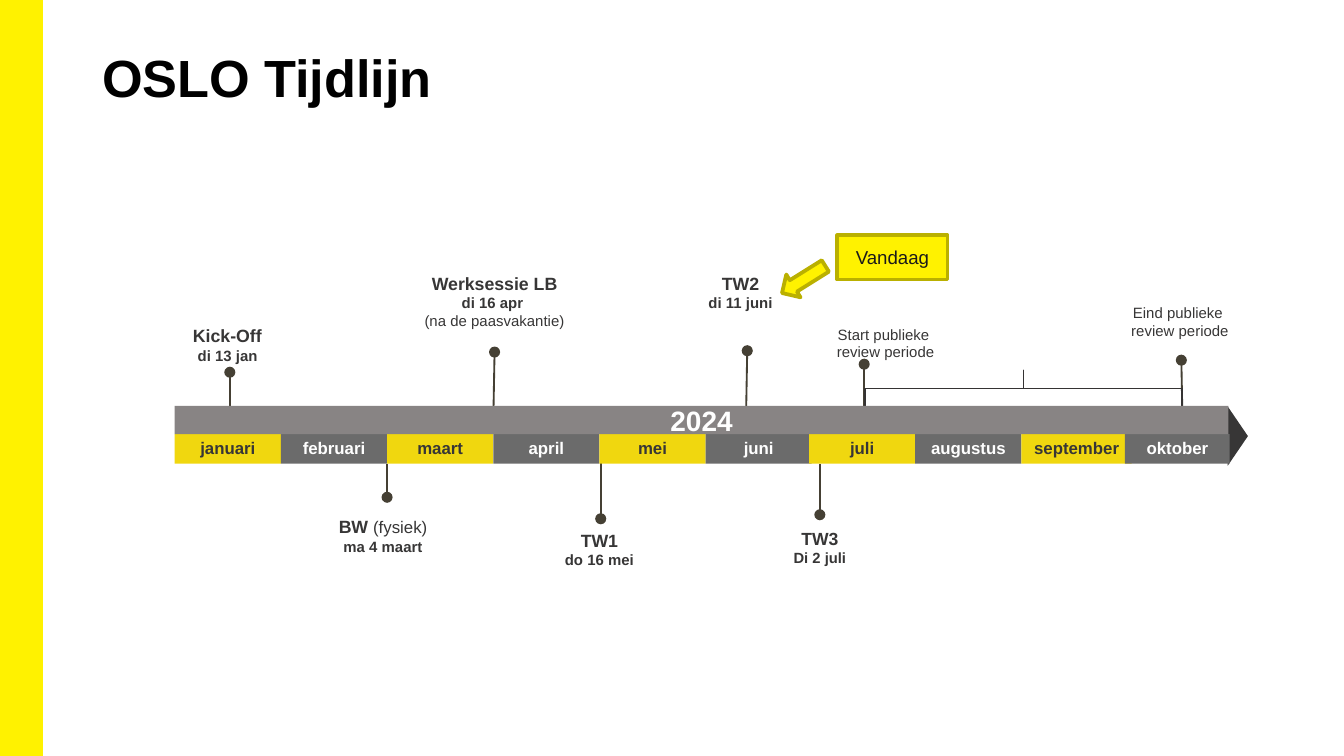
"""Build the OSLO 2024 timeline slide."""
from lxml import etree
from pptx import Presentation
from pptx.dml.color import RGBColor
from pptx.enum.shapes import MSO_CONNECTOR, MSO_SHAPE
from pptx.enum.text import MSO_ANCHOR, PP_ALIGN
from pptx.oxml.ns import qn
from pptx.util import Inches, Pt

YELLOW = RGBColor(0xFF, 0xF2, 0x00)
OLIVE = RGBColor(0xBA, 0xB0, 0x00)
GOLD = RGBColor(0xF0, 0xD7, 0x0F)
GRAY = RGBColor(0x6B, 0x6B, 0x6B)
BAR_GRAY = RGBColor(0x88, 0x84, 0x84)
DARK = RGBColor(0x37, 0x36, 0x36)
PIN = RGBColor(0x45, 0x40, 0x34)
BRACE = RGBColor(0x35, 0x33, 0x33)
INK = RGBColor(0x1B, 0x1A, 0x1A)
BLACK = RGBColor(0, 0, 0)
WHITE = RGBColor(0xFF, 0xFF, 0xFF)

SLIDE_WIDTH = Inches(10)
SLIDE_HEIGHT = SLIDE_WIDTH * 9 // 16
TITLE = "OSLO Tijdlijn"
YEAR = "2024"
TODAY = "Vandaag"
FONT = "Arial"
MONTH_TOP, MONTH_HEIGHT = 3.23, 0.22
MONTH_GROUPS = [
    (1.3, 0.79, ["januari", "februari", "maart", "april"]),
    (4.46, 0.79, ["mei", "juni"]),
    (6.02, 0.79, ["juli", "augustus"]),
    (7.6, 0.82, ["september"]),
    (8.37, 0.78, ["oktober"]),
]
EVENTS = [
    ((1.17, 2.42, 1.08, 0.37), [[("Kick-Off ", 9.5, True)], [("di 13 jan\u00a0", 8, True)]]),
    ((3.09, 2.03, 1.18, 0.6), [[("Werksessie LB", 9.5, True)], [("di 16 apr\u00a0", 8, True)],
                               [("(na de paasvakantie)", 8, False)]]),
    ((4.97, 2.03, 1.08, 0.37), [[("TW2", 9.5, True)], [("di 11 juni", 8, True)]]),
    ((6.05, 2.42, 1.08, 0.34), [[("Start publieke \nreview periode", 8, False)]]),
    ((8.24, 2.26, 1.08, 0.37), [[("Eind publieke \nreview periode", 8, False)]]),
    ((2.31, 3.84, 1.08, 0.81), [[("BW ", 9.5, True), ("(fysiek)", 9, False)],
                                [("ma 4 maart", 8, True)]]),
    ((3.92, 3.94, 1.08, 0.34), [[("TW1", 9.5, True)], [("do 16 mei", 8, True)]]),
    ((5.56, 3.93, 1.08, 0.34), [[("TW3", 9.4, True)], [("Di 2 juli", 7.9, True)]]),
]
PINS = [
    ((1.71, 3.17), (1.71, 2.77)),
    ((3.67, 3.16), (3.68, 2.62)),
    ((5.55, 3.15), (5.56, 2.61)),
    ((6.43, 3.25), (6.43, 2.71)),
    ((8.8, 3.23), (8.79, 2.68)),
    ((2.88, 3.45), (2.88, 3.7)),
    ((4.47, 3.44), (4.47, 3.86)),
    ((6.1, 3.45), (6.1, 3.83)),
]


def write(shape, paragraphs, color, insets, align=PP_ALIGN.CENTER, anchor=MSO_ANCHOR.TOP, wrap=True):
    frame = shape.text_frame
    frame.word_wrap = wrap
    frame.vertical_anchor = anchor
    frame.margin_left, frame.margin_top, frame.margin_right, frame.margin_bottom = map(Inches, insets)
    for index, runs in enumerate(paragraphs):
        paragraph = frame.paragraphs[0] if index == 0 else frame.add_paragraph()
        paragraph.alignment = align
        for text, size, bold in runs:
            for number, line in enumerate(text.split("\n")):
                if number:
                    paragraph.add_line_break()
                run = paragraph.add_run()
                run.text = line
                run.font.name, run.font.size, run.font.bold = FONT, Pt(size), bold
                run.font.color.rgb = color


def add_box(slide, kind, place, fill=None, line=None, width=1, rotation=0):
    shape = slide.shapes.add_shape(kind, *map(Inches, place))
    shape.shadow.inherit = False
    shape.rotation = rotation
    if fill is None:
        shape.fill.background()
    else:
        shape.fill.solid()
        shape.fill.fore_color.rgb = fill
    if line is None:
        shape.line.fill.background()
    else:
        shape.line.color.rgb = line
        shape.line.width = Pt(width)
    return shape


def add_text(slide, place, paragraphs, color, insets, align=PP_ALIGN.CENTER):
    write(slide.shapes.add_textbox(*map(Inches, place)), paragraphs, color, insets, align)


def add_pin(slide, foot, knob):
    pin = slide.shapes.add_connector(MSO_CONNECTOR.STRAIGHT, *map(Inches, foot + knob))
    pin.line.color.rgb = PIN
    pin.line.width = Pt(1)
    etree.SubElement(pin.line._get_or_add_ln(), qn("a:tailEnd"), type="oval")
    etree.SubElement(pin._element.spPr, qn("a:effectLst"))


def add_months(slide):
    months = [(name, left + position * width, width)
              for left, width, names in MONTH_GROUPS
              for position, name in enumerate(names)]
    for index, (name, left, width) in enumerate(months):
        fill, color = ((GOLD, DARK), (GRAY, WHITE))[index % 2]
        month = add_box(slide, MSO_SHAPE.RECTANGLE, (left, MONTH_TOP, width, MONTH_HEIGHT), fill)
        write(month, [[(name, 9, True)]], color, (0.08, 0.08, 0.08, 0.1),
              anchor=MSO_ANCHOR.MIDDLE, wrap=False)


def main():
    presentation = Presentation()
    presentation.slide_width, presentation.slide_height = SLIDE_WIDTH, SLIDE_HEIGHT
    slide = presentation.slides.add_slide(presentation.slide_layouts[6])

    side_bar = add_box(slide, MSO_SHAPE.RECTANGLE, (0, 0, 0.31, 1), YELLOW, YELLOW)
    side_bar.height = SLIDE_HEIGHT
    add_text(slide, (0.69, 0.3, 8.62, 0.81), [[(TITLE, 28, True)]], BLACK,
             (0.07, 0.04, 0.07, 0.04), PP_ALIGN.LEFT)
    add_box(slide, MSO_SHAPE.DOWN_ARROW, (5.88, 1.89, 0.2, 0.38), YELLOW, OLIVE, 2, 58)
    for foot, knob in PINS:
        add_pin(slide, foot, knob)
    add_box(slide, MSO_SHAPE.ISOSCELES_TRIANGLE, (8.99, 3.17, 0.44, 0.15), DARK, rotation=90)
    add_months(slide)
    for place, paragraphs in EVENTS:
        add_text(slide, place, paragraphs, DARK, (0, 0, 0, 0))

    brace = add_box(slide, MSO_SHAPE.LEFT_BRACE, (7.48, 1.71, 0.27, 2.36),
                    line=BRACE, width=0.75, rotation=90)
    brace.adjustments[0], brace.adjustments[1] = 0, 0.5

    insets = (0.1, 0.05, 0.1, 0.05)
    year_bar = add_box(slide, MSO_SHAPE.RECTANGLE, (1.3, 3.02, 7.84, 0.21), BAR_GRAY)
    write(year_bar, [[(YEAR, 15, True)]], WHITE, insets, anchor=MSO_ANCHOR.MIDDLE)
    today = add_box(slide, MSO_SHAPE.FLOWCHART_PROCESS, (6.23, 1.75, 0.82, 0.33), YELLOW, OLIVE, 2)
    write(today, [[(TODAY, 10, False)]], INK, insets, anchor=MSO_ANCHOR.MIDDLE)

    presentation.save("out.pptx")


if __name__ == "__main__":
    main()
